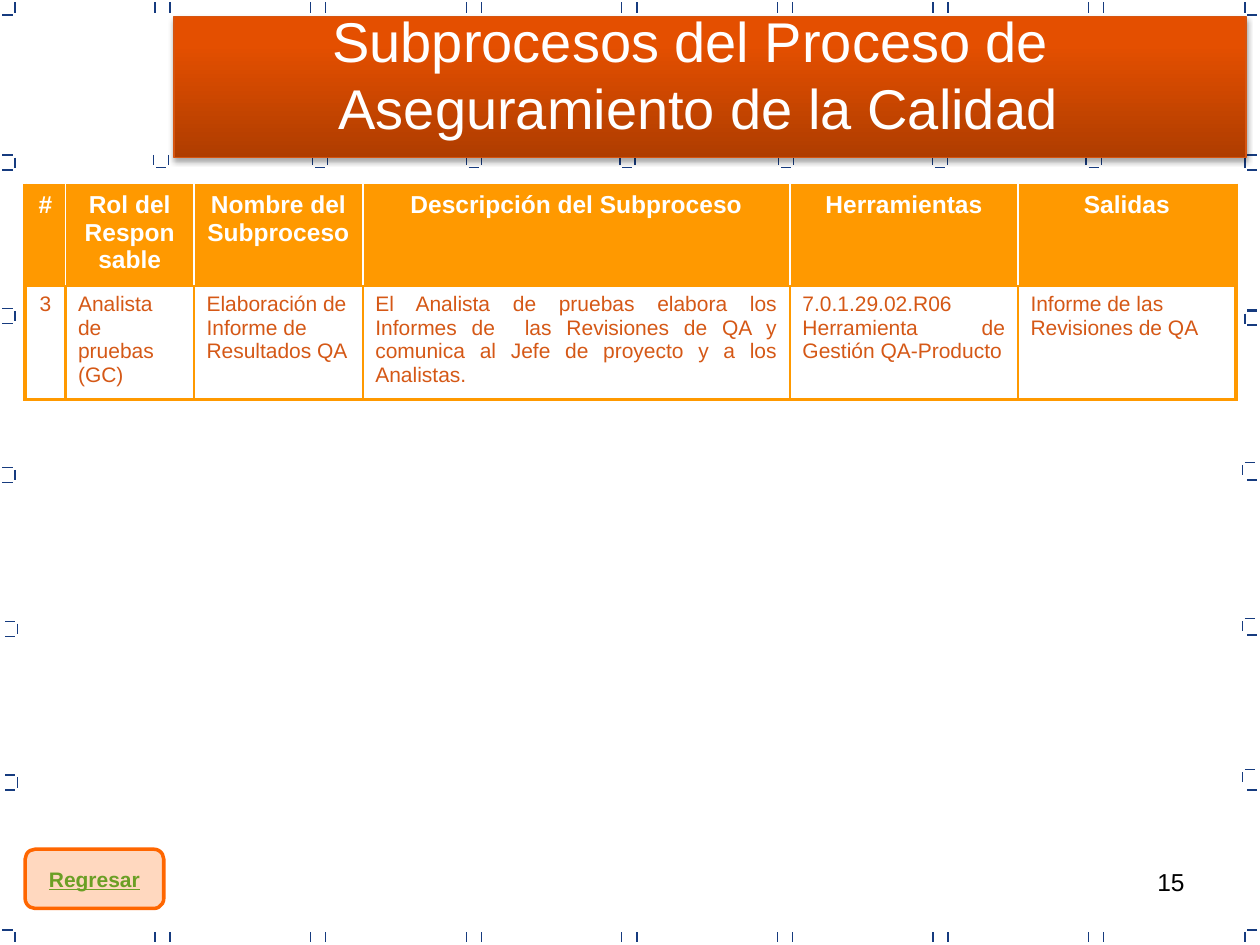
from lxml import etree
from pptx import Presentation
from pptx.dml.color import RGBColor
from pptx.enum.shapes import MSO_CONNECTOR, MSO_SHAPE
from pptx.enum.text import MSO_ANCHOR, MSO_AUTO_SIZE, PP_ALIGN
from pptx.oxml import parse_xml
from pptx.oxml.ns import nsdecls, qn
from pptx.util import Inches, Pt

LEFT, CENTER, RIGHT, JUSTIFY = PP_ALIGN.LEFT, PP_ALIGN.CENTER, PP_ALIGN.RIGHT, PP_ALIGN.JUSTIFY
RECT, BUTTON = MSO_SHAPE.RECTANGLE, MSO_SHAPE.FLOWCHART_ALTERNATE_PROCESS
STRAIGHT = MSO_CONNECTOR.STRAIGHT
MIDDLE = MSO_ANCHOR.MIDDLE
FIT_SHAPE = MSO_AUTO_SIZE.SHAPE_TO_FIT_TEXT

WHITE = RGBColor(0xFF, 0xFF, 0xFF)
BLACK = RGBColor(0x00, 0x00, 0x00)
NAVY = RGBColor(0x16, 0x3B, 0x7F)
AMBER = RGBColor(0xFF, 0x99, 0x00)
RUST = RGBColor(0xD5, 0x58, 0x16)
ORANGE = RGBColor(0xFF, 0x66, 0x00)
GREEN = RGBColor(0x6B, 0x9F, 0x25)
BANNER_EDGE = RGBColor(0xD5, 0x55, 0x11)
BANNER_STOPS = [(0, RGBColor(0xAF, 0x3D, 0x00)),
                (80, RGBColor(0xE4, 0x4F, 0x00)),
                (100, RGBColor(0xE5, 0x4F, 0x00))]

TITLE = ["Subprocesos del Proceso de ", "Aseguramiento de la Calidad"]
COLUMNS = [
    ("#", 0.32, "3", CENTER),
    ("Rol del Responsable", 1.02, "Analista de pruebas (GC)", LEFT),
    ("Nombre del Subproceso", 1.34, "Elaboración de Informe de Resultados QA", LEFT),
    ("Descripción del Subproceso", 3.39,
     "El Analista de pruebas elabora los Informes de  las Revisiones de QA "
     "y comunica al Jefe de proyecto y a los Analistas.", JUSTIFY),
    ("Herramientas", 1.81, "7.0.1.29.02.R06 Herramienta de Gestión QA-Producto", JUSTIFY),
    ("Salidas", 1.73, "Informe de las Revisiones de QA", LEFT),
]
ROW_HEIGHTS = [0.47, 0.78]

TICK, GAP, PAIR = 0.08, 0.02, 0.12
EDGE_PAIRS = [1.23 + 1.235 * i for i in range(7)]
BANNER_BRACKETS = [1.22, 2.48, 3.7, 4.92, 6.18, 7.4, 8.62]
LEFT_BRACKETS = [(0.02, 1.23), (0.02, 2.45), (0.02, 3.71), (0.04, 4.93), (0.04, 6.15)]
RIGHT_BRACKETS = [(9.88, 1.23), (9.88, 2.47), (9.86, 3.67), (9.86, 4.91), (9.86, 6.11)]
RIGHT_DASHES = [1.35, 2.46, 2.58, 3.81, 5.04, 6.27]

prs = Presentation()
prs.slide_width, prs.slide_height = Inches(10), Inches(7.5)
shapes = prs.slides.add_slide(prs.slide_layouts[6]).shapes


def box(*sides):
    return [Inches(v) for v in sides]


def tick(x, y, dx, dy):
    line = shapes.add_connector(STRAIGHT, *box(x, y, x + dx, y + dy))
    line.line.color.rgb = NAVY
    line.line.width = Pt(0.75)
    etree.SubElement(line._element.spPr, qn("a:effectLst"))


def vertical(x, y):
    tick(x, y, 0, TICK)


def horizontal(x, y):
    tick(x, y, TICK, 0)


def write(tf, lines, size, color, align, bold=False, underline=False):
    tf.text = "\n".join(lines)
    for p in tf.paragraphs:
        p.alignment = align
        for r in p.runs:
            r.font.name, r.font.size = "Arial", Pt(size)
            r.font.bold, r.font.underline = bold, underline
            r.font.color.rgb = color


def borders(cell, sides):
    tcPr = cell._tc.get_or_add_tcPr()
    for side, (color, width) in zip("LRTB", sides):
        tcPr.append(parse_xml(
            f'<a:ln{side} {nsdecls("a")} w="{Pt(width)}"><a:solidFill>'
            f'<a:srgbClr val="{color}"/></a:solidFill></a:ln{side}>'))


def draw_frame():
    for x in EDGE_PAIRS:
        for y in (0.02, 7.4):
            vertical(x, y)
            vertical(x + PAIR, y)
    for x, dash_x in ((0.12, 0.02), (9.88, 9.9)):
        for y in (0.02, 7.4):
            vertical(x, y)
        for y in (0.12, 7.38):
            horizontal(dash_x, y)
    for x in BANNER_BRACKETS:
        vertical(x, 1.23)
        vertical(x + PAIR, 1.23)
        horizontal(x + GAP, 1.33)
    for x, y in LEFT_BRACKETS:
        horizontal(x, y)
        horizontal(x, y + PAIR)
        vertical(x + TICK + GAP, y + GAP)
    for x, y in RIGHT_BRACKETS:
        horizontal(x + GAP, y)
        vertical(x, y + GAP)
    for y in RIGHT_DASHES:
        horizontal(9.9, y)


def draw_table():
    width = sum(c[1] for c in COLUMNS)
    table = shapes.add_table(2, len(COLUMNS), *box(0.2, 1.47, width, sum(ROW_HEIGHTS))).table
    table.first_row = table.horz_banding = False
    for row, height in zip(table.rows, ROW_HEIGHTS):
        row.height = Inches(height)
    outer, inner, divider = (AMBER, 2.25), (AMBER, 1.5), (WHITE, 1)
    last = len(COLUMNS) - 1
    for i, (heading, col_width, body, align) in enumerate(COLUMNS):
        table.columns[i].width = Inches(col_width)
        head, cell = table.cell(0, i), table.cell(1, i)
        for c, mid, top, bottom in ((head, divider, outer, inner), (cell, inner, inner, outer)):
            borders(c, [outer if i == 0 else mid, outer if i == last else mid, top, bottom])
        head.fill.solid()
        head.fill.fore_color.rgb = AMBER
        cell.fill.background()
        write(head.text_frame, [heading], 14, WHITE, CENTER, bold=True)
        write(cell.text_frame, [body], 12, RUST, align)


def draw_button():
    sp = shapes.add_shape(BUTTON, *box(0.2, 6.74, 1.1, 0.47))
    sp.shadow.inherit = False
    sp.fill.solid()
    sp.fill.fore_color.rgb = ORANGE
    color = sp._element.spPr.find(qn("a:solidFill"))[0]
    etree.SubElement(color, qn("a:alpha"), val="25000")
    sp.line.color.rgb = ORANGE
    sp.line.width = Pt(2)
    tf = sp.text_frame
    tf.word_wrap = False
    tf.vertical_anchor = MIDDLE
    write(tf, ["Regresar"], 12, GREEN, CENTER, bold=True, underline=True)


def draw_banner():
    sp = shapes.add_shape(RECT, *box(1.38, 0.13, 8.51, 1.12))
    sp.shadow.inherit = False
    sp.line.color.rgb = BANNER_EDGE
    sp.line.width = Pt(0.75)
    stops = "".join(f'<a:gs pos="{pos * 1000}"><a:srgbClr val="{color}"/></a:gs>'
                    for pos, color in BANNER_STOPS)
    spPr = sp._element.spPr
    spPr.find(qn("a:prstGeom")).addnext(parse_xml(
        f'<a:gradFill {nsdecls("a")} rotWithShape="1"><a:gsLst>{stops}</a:gsLst>'
        '<a:lin ang="16200000" scaled="0"/></a:gradFill>'))
    spPr.find(qn("a:effectLst")).append(parse_xml(
        f'<a:outerShdw {nsdecls("a")} blurRad="{Pt(3.1)}" dist="{Pt(1.8)}" dir="5400000" '
        'rotWithShape="0"><a:srgbClr val="000000"><a:alpha val="35000"/></a:srgbClr></a:outerShdw>'))


def add_text(sides, lines, size, color, align):
    tf = shapes.add_textbox(*box(*sides)).text_frame
    tf.word_wrap = True
    write(tf, lines, size, color, align)
    return tf


add_text((7.17, 6.83, 2.33, 0.52), ["15"], 14, BLACK, RIGHT)
draw_frame()
draw_table()
draw_button()
draw_banner()
add_text((1.46, 0, 8.17, 1.17), TITLE, 32, WHITE, CENTER).auto_size = FIT_SHAPE
prs.save("out.pptx")
